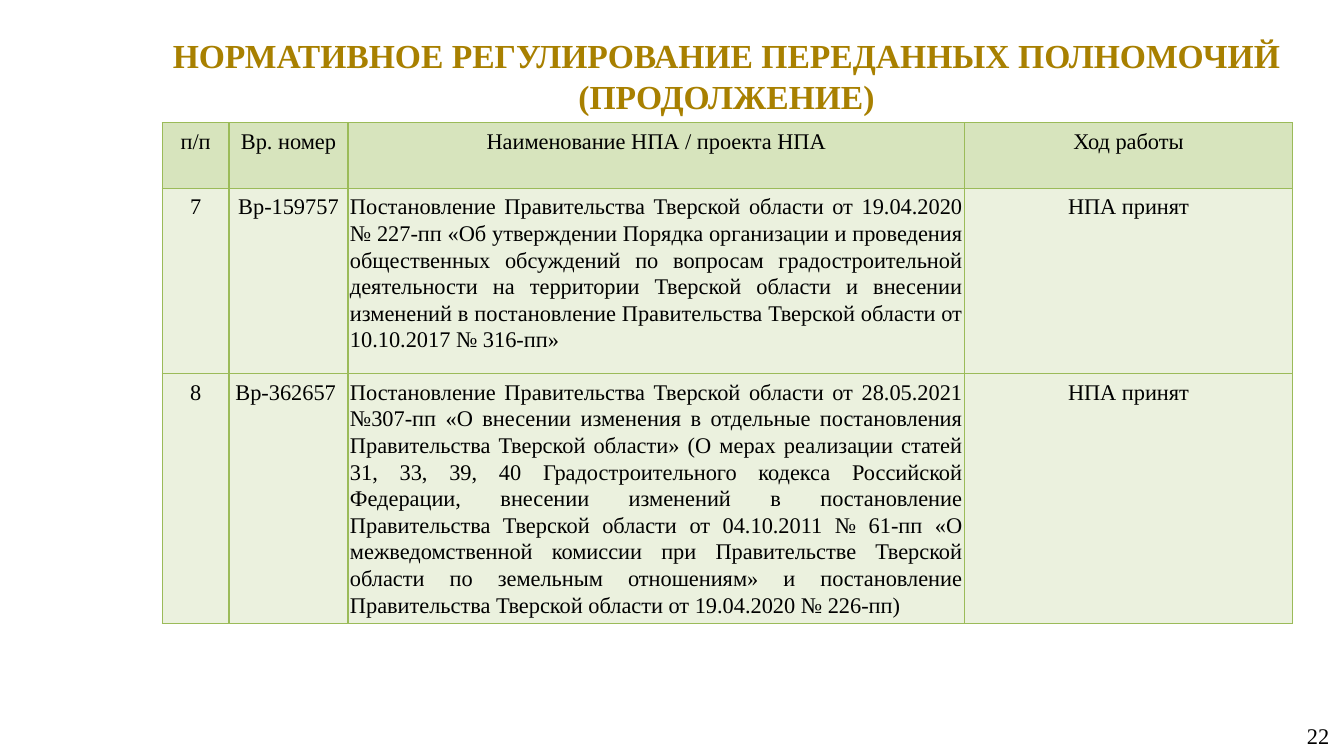
import pptx
import pptx.util
import pptx.oxml
import pptx.dml.color
import pptx.enum.text
from pptx.oxml.ns import nsdecls

Cm, Pt = pptx.util.Cm, pptx.util.Pt
Align = pptx.enum.text.PP_ALIGN
Anchor = pptx.enum.text.MSO_ANCHOR

GOLD, BLACK = "A88000", "000000"
HEADER_FILL, ROW_FILL, GRID = "D7E4BD", "EBF1DE", "9BBB59"
FRAME = {
    "margin_left": Cm(0.33), "margin_right": Cm(0.33),
    "margin_top": Cm(0.18), "margin_bottom": Cm(0.18),
    "word_wrap": True, "auto_size": pptx.enum.text.MSO_AUTO_SIZE.NONE,
}
CELL = {
    "margin_left": Cm(0.05), "margin_right": Cm(0.05),
    "margin_top": Cm(0.13), "margin_bottom": Cm(0.13),
    "vertical_anchor": Anchor.TOP,
}
CELL_PARAGRAPH = {"line_spacing": 1.07, "space_after": Pt(8)}

HEADING = "НОРМАТИВНОЕ РЕГУЛИРОВАНИЕ ПЕРЕДАННЫХ ПОЛНОМОЧИЙ (ПРОДОЛЖЕНИЕ)"
COLUMN_WIDTHS = [1.68, 3.0, 15.54, 8.26]
ROW_HEIGHTS = [1.65, 4.67, 5.79]
ACTS = [
    ["п/п", "Вр. номер", "Наименование НПА / проекта НПА", "Ход работы"],
    ["7", "Вр-159757",
     "Постановление Правительства Тверской области от 19.04.2020 № 227-пп "
     "«Об утверждении Порядка организации и проведения общественных обсуждений "
     "по вопросам градостроительной деятельности на территории Тверской области "
     "и внесении изменений в постановление Правительства Тверской области "
     "от 10.10.2017 № 316-пп»",
     "НПА принят"],
    ["8", "Вр-362657 ",
     "Постановление Правительства Тверской области от 28.05.2021 №307-пп "
     "«О внесении изменения в отдельные постановления Правительства Тверской "
     "области» (О мерах реализации статей 31, 33, 39, 40 Градостроительного "
     "кодекса Российской Федерации, внесении изменений в постановление "
     "Правительства Тверской области от 04.10.2011 № 61-пп «О межведомственной "
     "комиссии при Правительстве Тверской области по земельным отношениям» "
     "и постановление Правительства Тверской области от 19.04.2020 № 226-пп)",
     "НПА принят"],
]


def rgb(code):
    return pptx.dml.color.RGBColor.from_string(code)


def apply(target, values):
    for name, value in values.items():
        setattr(target, name, value)


def write(frame, text, size, color, align, bold=False, paragraph_format={}):
    paragraph = frame.paragraphs[0]
    apply(paragraph, {"alignment": align, **paragraph_format})
    run = paragraph.add_run()
    run.text = text
    apply(run.font, {"name": "Times New Roman", "size": Pt(size), "bold": bold})
    run.font.color.rgb = rgb(color)


def add_heading(slide, left, top, width, height):
    heading = slide.shapes.title
    apply(heading, {"left": left, "top": top, "width": width, "height": height})
    apply(heading.text_frame, {**FRAME, "vertical_anchor": Anchor.TOP})
    write(heading.text_frame, HEADING, 24, GOLD, Align.CENTER, bold=True)


def add_page_number(slide, left, top, width, height):
    frame = slide.shapes.add_textbox(left, top, width, height).text_frame
    apply(frame, {**FRAME, "vertical_anchor": Anchor.MIDDLE})
    write(frame, "22", 16, BLACK, Align.RIGHT)


def add_borders(cell):
    properties = cell._tc.get_or_add_tcPr()
    for side in "LRTB":
        properties.append(pptx.oxml.parse_xml(
            f'<a:ln{side} {nsdecls("a")} w="{Pt(0.96)}"><a:solidFill>'
            f'<a:srgbClr val="{GRID}"/></a:solidFill></a:ln{side}>'))


def add_acts_table(slide, left, top, width, height):
    acts = slide.shapes.add_table(
        len(ACTS), len(COLUMN_WIDTHS), left, top, width, height).table
    apply(acts, {"first_row": False, "horz_banding": False})
    for column, share in zip(acts.columns, COLUMN_WIDTHS):
        column.width = int(width * share / sum(COLUMN_WIDTHS))
    for row, share in zip(acts.rows, ROW_HEIGHTS):
        row.height = int(height * share / sum(ROW_HEIGHTS))
    for r, act in enumerate(ACTS):
        for c, text in enumerate(act):
            cell = acts.cell(r, c)
            apply(cell, CELL)
            add_borders(cell)
            cell.fill.solid()
            cell.fill.fore_color.rgb = rgb(ROW_FILL if r else HEADER_FILL)
            align = Align.JUSTIFY if r and c == 2 else Align.CENTER
            write(cell.text_frame, text, 16, BLACK, align,
                  paragraph_format=CELL_PARAGRAPH)


deck = pptx.Presentation()
apply(deck, {"slide_width": Cm(33.87), "slide_height": Cm(19.05)})
regulation = deck.slides.add_slide(deck.slide_layouts[5])
add_heading(regulation, Cm(3.73), Cm(0.71), Cm(29.16), Cm(2.36))
add_page_number(regulation, Cm(25.93), Cm(18.03), Cm(7.9), Cm(1.02))
add_acts_table(regulation, Cm(4.09), Cm(3.09), Cm(28.48), Cm(12.11))
deck.save("out.pptx")
